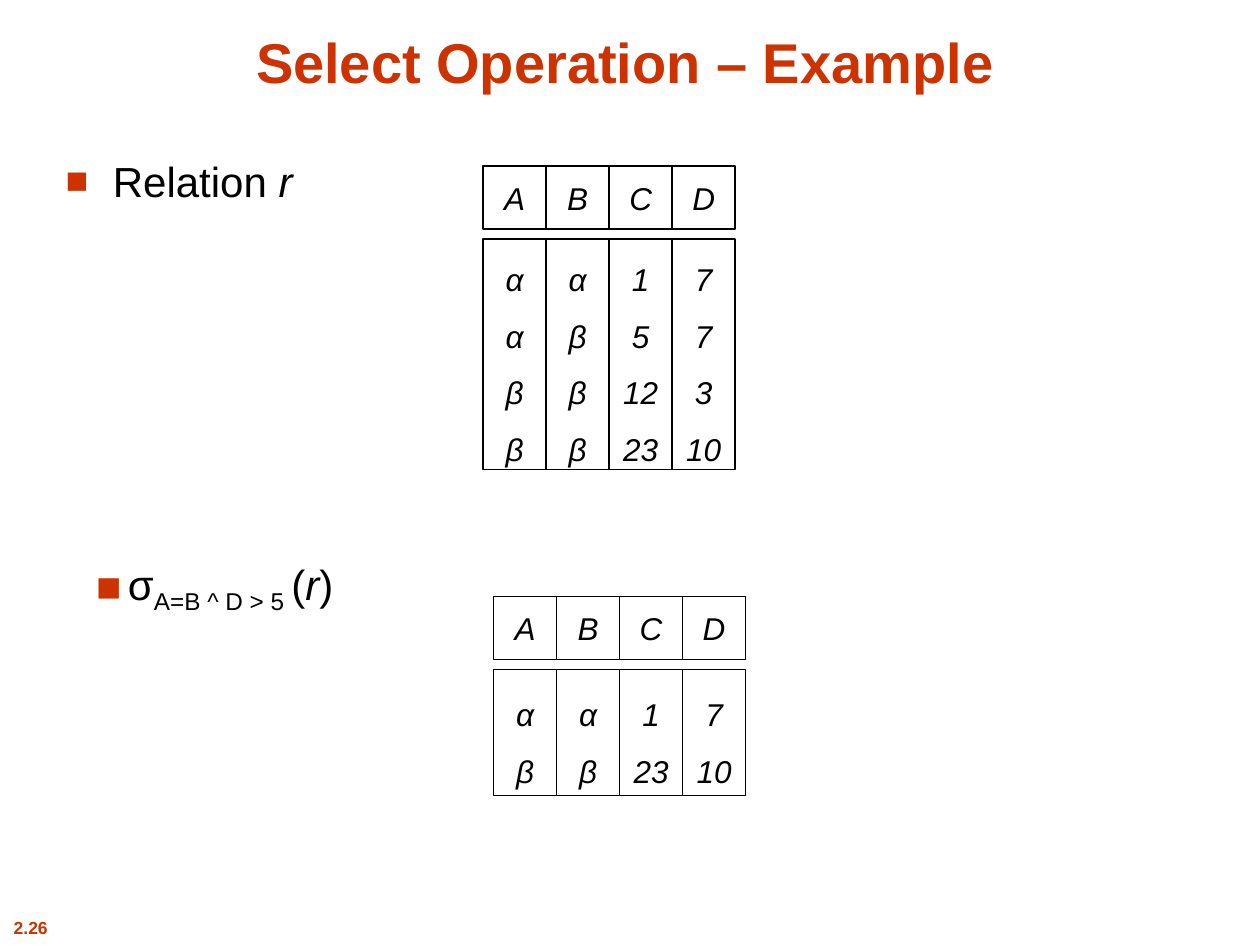
from dataclasses import dataclass

from lxml.etree import SubElement
from pptx import Presentation
from pptx.dml.color import RGBColor
from pptx.enum.shapes import MSO_SHAPE as Shape
from pptx.enum.text import MSO_ANCHOR as Anchor, MSO_AUTO_SIZE as AutoSize, PP_ALIGN as Align
from pptx.oxml.ns import qn
from pptx.util import Cm, Pt


@dataclass(frozen=True)
class Theme:
    font: str = "Arial"
    accent: RGBColor = RGBColor(0xCC, 0x33, 0x00)
    ink: RGBColor = RGBColor(0, 0, 0)
    paper: RGBColor = RGBColor(0xFF, 0xFF, 0xFF)
    title_size: int = 32
    list_size: int = 24
    cell_size: int = 18
    number_size: int = 10
    line_width: float = 0.75


@dataclass(frozen=True)
class Relation:
    """A relation drawn as a header row above tall value columns (cm)."""
    left: float
    top: float
    body_height: float
    columns: dict[str, list[str]]


THEME = Theme()
CELL = 1.27
HEADER_GAP = 0.2

RELATIONS = [
    Relation(9.74, 3.35, 4.65, {
        "A": ["α", "α", "β", "β"],
        "B": ["α", "β", "β", "β"],
        "C": ["1", "5", "12", "23"],
        "D": ["7", "7", "3", "10"],
    }),
    Relation(9.95, 12.03, 2.54, {
        "A": ["α", "β"],
        "B": ["α", "β"],
        "C": ["1", "23"],
        "D": ["7", "10"],
    }),
]


def place(shape, left: float, top: float, width: float, height: float) -> None:
    shape.left, shape.top = Cm(left), Cm(top)
    shape.width, shape.height = Cm(width), Cm(height)


def add_run(paragraph, text: str, size: int, color: RGBColor = THEME.ink,
            bold: bool = False, italic: bool = False, baseline: int = 0) -> None:
    run = paragraph.add_run()
    run.text = text
    font = run.font
    font.name, font.size = THEME.font, Pt(size)
    font.bold, font.italic = bold, italic
    font.color.rgb = color
    if baseline:
        run._r.get_or_add_rPr().set("baseline", str(baseline * 1000))


def add_bullet(paragraph, indent: float, percent: int = 100) -> None:
    """Give the paragraph a square bullet with a hanging indent."""
    paragraph.space_before = Pt(0)
    properties = paragraph._p.get_or_add_pPr()
    properties.set("marL", str(Cm(indent)))
    properties.set("indent", str(-Cm(indent)))
    color = SubElement(properties, qn("a:buClr"))
    SubElement(color, qn("a:srgbClr"), val=str(THEME.accent))
    SubElement(properties, qn("a:buSzPct"), val=str(percent * 1000))
    SubElement(properties, qn("a:buFont"), typeface=THEME.font)
    SubElement(properties, qn("a:buChar"), char="■")


def add_cell(group, left: float, top: float, height: float,
             values: list[str], line_spacing: float) -> None:
    cell = group.shapes.add_shape(Shape.RECTANGLE, Cm(left), Cm(top), Cm(CELL), Cm(height))
    cell.shadow.inherit = False
    cell.fill.solid()
    cell.fill.fore_color.rgb = THEME.paper
    cell.line.color.rgb = THEME.ink
    cell.line.width = Pt(THEME.line_width)
    frame = cell.text_frame
    frame.word_wrap = False
    frame.vertical_anchor = Anchor.MIDDLE
    for index, value in enumerate(values):
        paragraph = frame.add_paragraph() if index else frame.paragraphs[0]
        paragraph.alignment = Align.CENTER
        paragraph.line_spacing = line_spacing
        add_run(paragraph, value, THEME.cell_size, italic=True)


def add_relation(slide, relation: Relation) -> None:
    group = slide.shapes.add_group_shape()
    body_top = relation.top + CELL + HEADER_GAP
    for index, (name, values) in enumerate(relation.columns.items()):
        left = relation.left + index * CELL
        add_cell(group, left, relation.top, CELL, [name], 1.0)
        add_cell(group, left, body_top, relation.body_height, values, 1.5)


def add_title(slide) -> None:
    title = slide.shapes.title
    place(title, 0.64, 0.33, 23.93, 1.7)
    frame = title.text_frame
    frame.auto_size = AutoSize.NONE
    frame.vertical_anchor = Anchor.BOTTOM
    paragraph = frame.paragraphs[0]
    paragraph.alignment = Align.CENTER
    add_run(paragraph, "Select Operation – Example", THEME.title_size, THEME.accent, bold=True)


def add_relation_label(slide) -> None:
    body = slide.placeholders[1]
    place(body, 1.07, 3.0, 5.69, 1.02)
    body.text_frame.auto_size = AutoSize.NONE
    paragraph = body.text_frame.paragraphs[0]
    add_bullet(paragraph, 0.95, 90)
    add_run(paragraph, "Relation ", THEME.list_size)
    add_run(paragraph, "r", THEME.list_size, italic=True)


def add_selection_label(slide) -> None:
    box = slide.shapes.add_textbox(Cm(0.76), Cm(11.2), Cm(7.14), Cm(1.27))
    frame = box.text_frame
    frame.word_wrap = True
    frame.vertical_anchor = Anchor.MIDDLE
    paragraph = frame.paragraphs[0]
    paragraph.alignment = Align.CENTER
    add_bullet(paragraph, 0.64)
    add_run(paragraph, "σ", THEME.list_size)
    add_run(paragraph, "A=B ^ D > 5 ", THEME.list_size, baseline=-25)
    add_run(paragraph, "(", THEME.list_size)
    add_run(paragraph, "r", THEME.list_size, italic=True)
    add_run(paragraph, ")", THEME.list_size)


def add_slide_number(slide) -> None:
    box = slide.shapes.add_textbox(Cm(0), Cm(18.36), Cm(1.24), Cm(0.69))
    box.text_frame.word_wrap = False
    paragraph = box.text_frame.paragraphs[0]
    paragraph.alignment = Align.CENTER
    add_run(paragraph, "2.26", THEME.number_size, THEME.accent, bold=True)


def main() -> None:
    presentation = Presentation()
    presentation.slide_width, presentation.slide_height = Cm(25.4), Cm(19.05)
    slide = presentation.slides.add_slide(presentation.slide_layouts[1])

    # Title and labels
    add_slide_number(slide)
    add_title(slide)
    add_relation_label(slide)
    add_selection_label(slide)

    # Input relation and selection result
    for relation in RELATIONS:
        add_relation(slide, relation)

    presentation.save("out.pptx")


if __name__ == "__main__":
    main()
